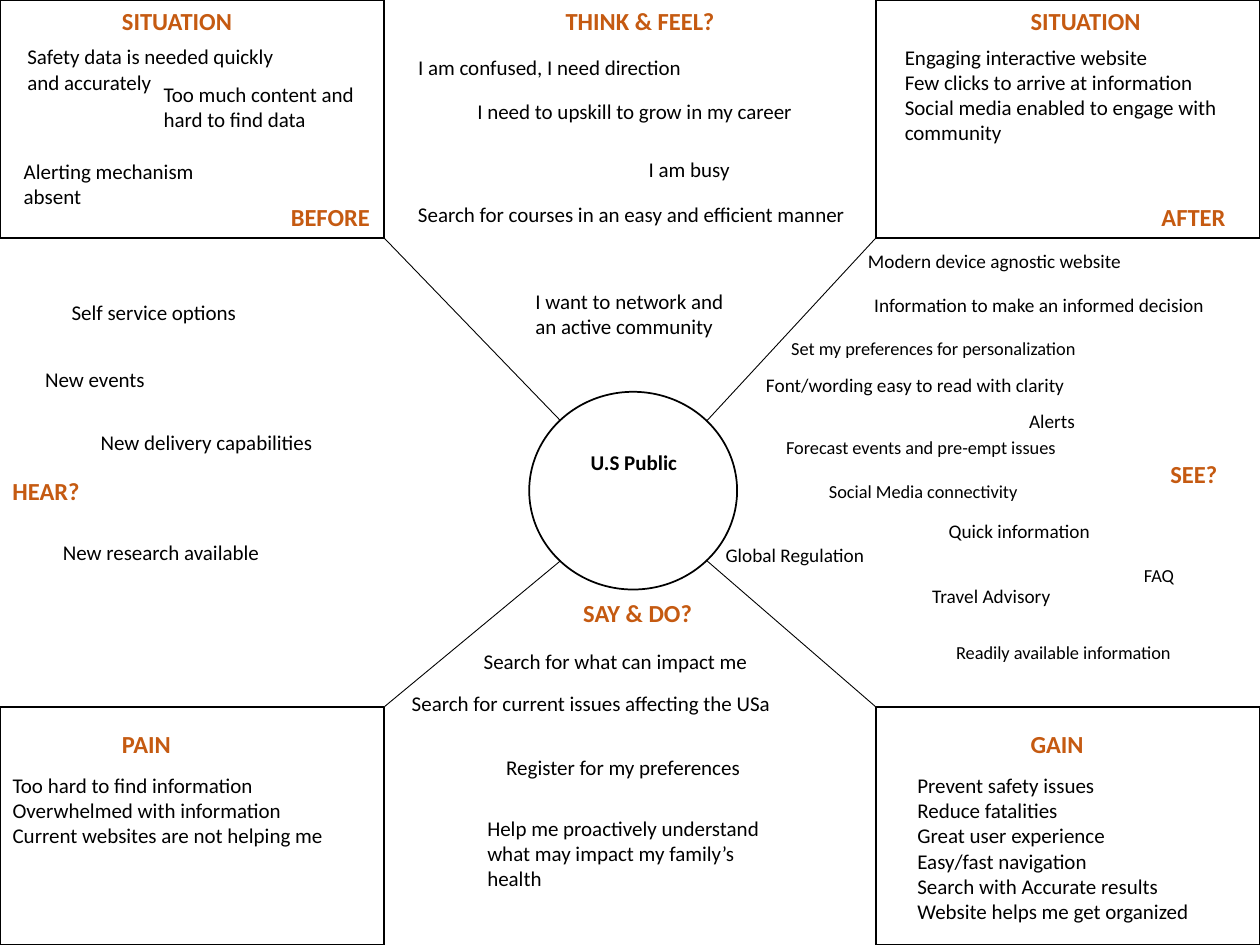
from dataclasses import dataclass

from lxml import etree
from pptx import Presentation
from pptx.dml.color import RGBColor
from pptx.enum.shapes import MSO_CONNECTOR, MSO_SHAPE
from pptx.enum.text import MSO_ANCHOR, MSO_AUTO_SIZE, PP_ALIGN
from pptx.oxml.ns import qn
from pptx.util import Pt

RECTANGLE, OVAL = MSO_SHAPE.RECTANGLE, MSO_SHAPE.OVAL
STRAIGHT = MSO_CONNECTOR.STRAIGHT
GROW, TOP = MSO_AUTO_SIZE.SHAPE_TO_FIT_TEXT, MSO_ANCHOR.TOP
LEFT, CENTER = PP_ALIGN.LEFT, PP_ALIGN.CENTER


@dataclass(frozen=True)
class Theme:
    ink: RGBColor = RGBColor(0, 0, 0)
    accent: RGBColor = RGBColor(0xC5, 0x5A, 0x11)
    font: str = "Calibri"
    heading: float = 14
    body: float = 12
    small: float = 11
    fine: float = 10.5
    outline: float = 1
    spoke: float = 0.5


@dataclass(frozen=True)
class Box:
    left: float
    top: float
    width: float
    height: float


@dataclass(frozen=True)
class Note:
    text: str
    left: float
    top: float
    width: float
    size: float = Theme.body
    lines: int = 1
    wrap: bool = False
    bold: bool = False
    color: RGBColor = Theme.ink
    align: PP_ALIGN = LEFT


THEME = Theme()
WIDTH, HEIGHT = 720, 540
CORNER_W, CORNER_H = 219.6, 136.1
RIGHT, BOTTOM = WIDTH - CORNER_W, HEIGHT - CORNER_H
MIDDLE_W = RIGHT - CORNER_W

BEFORE = Box(0, 0, CORNER_W, CORNER_H)
AFTER = Box(RIGHT, 0, CORNER_W, CORNER_H)
PAIN = Box(0, BOTTOM, CORNER_W, CORNER_H)
GAIN = Box(RIGHT, BOTTOM, CORNER_W, CORNER_H)
THINK = Box(CORNER_W, 0, MIDDLE_W, 224)
HEAR = Box(0, CORNER_H, 302.4, BOTTOM - CORNER_H)
SEE = Box(403.2, CORNER_H, 316.8, BOTTOM - CORNER_H)
SAY = Box(CORNER_W, 338.4, MIDDLE_W, 201.6)
PERSONA = Box(302.4, 223.9, 118.8, 113)


def apply(target, formats):
    for name, value in formats.items():
        setattr(target, name, value)


def heading(text, left, top, width):
    return Note(text, left, top, width, THEME.heading, bold=True, color=THEME.accent)


def write(slide, box, note, holder=None):
    shape = holder or slide.shapes.add_textbox(0, 0, 0, 0)
    apply(shape, {
        "left": Pt(box.left + note.left),
        "top": Pt(box.top + note.top),
        "width": Pt(note.width),
        "height": Pt(note.lines * note.size * 1.22 + 7.2),
    })
    frame = shape.text_frame
    frame.text = note.text
    apply(frame, {
        "word_wrap": note.wrap, "auto_size": GROW, "vertical_anchor": TOP,
        "margin_left": Pt(7.2), "margin_right": Pt(7.2),
        "margin_top": Pt(3.6), "margin_bottom": Pt(3.6),
    })
    for paragraph in frame.paragraphs:
        apply(paragraph, {"alignment": note.align, "space_before": Pt(0)})
        if holder:
            properties = paragraph._p.get_or_add_pPr()
            properties.set("marL", "0")
            properties.set("indent", "0")
            etree.SubElement(properties, qn("a:buNone"))
        for run in paragraph.runs:
            apply(run.font, {"name": THEME.font, "size": Pt(note.size), "bold": note.bold})
            run.font.color.rgb = note.color


def outline(slide, kind, box):
    shape = slide.shapes.add_shape(
        kind, Pt(box.left), Pt(box.top), Pt(box.width), Pt(box.height))
    shape.shadow.inherit = False
    shape.fill.background()
    shape.line.color.rgb = THEME.ink
    shape.line.width = Pt(THEME.outline)


def corner(slide, box, notes, listing=None, holder=None):
    outline(slide, RECTANGLE, box)
    region(slide, box, notes)
    if listing:
        write(slide, box, listing, holder)


def region(slide, box, notes):
    for note in notes:
        write(slide, box, note)


def persona(slide, box, title):
    outline(slide, OVAL, box)
    write(slide, box, Note("U.S Public", -1.4, 29.5, 122.4, wrap=True,
                           bold=True, align=CENTER), title)


def spokes(slide):
    for corner_x, ring_x in ((CORNER_W, 320.4), (RIGHT, 403.9)):
        for corner_y, ring_y in ((CORNER_H, 240.5), (BOTTOM, 320.4)):
            spoke = slide.shapes.add_connector(
                STRAIGHT, Pt(corner_x), Pt(corner_y), Pt(ring_x), Pt(ring_y))
            spoke.line.color.rgb = THEME.ink
            spoke.line.width = Pt(THEME.spoke)
            etree.SubElement(spoke._element.spPr, qn("a:effectLst"))


deck = Presentation()
apply(deck, {"slide_width": Pt(WIDTH), "slide_height": Pt(HEIGHT)})
slide = deck.slides.add_slide(deck.slide_layouts.get_by_name("Comparison"))
holders = {holder.placeholder_format.idx: holder for holder in slide.placeholders}
for idx, holder in holders.items():
    if idx not in (0, 1, 2, 4):
        holder._element.getparent().remove(holder._element)

persona(slide, PERSONA, holders[0])
spokes(slide)
corner(slide, BEFORE, [
    heading("SITUATION", 62.6, 0, 77.8),
    heading("BEFORE", 159.1, 111.6, 60.5),
    Note("Safety data is needed quickly and accurately", 8.6, 21.6, 155.5, lines=2, wrap=True),
    Note("Too much content and hard to find data", 86.4, 43.2, 129.6, lines=2, wrap=True),
    Note("Alerting mechanism absent", 6.5, 87.1, 113, lines=2, wrap=True),
])
corner(slide, AFTER, [
    heading("SITUATION", 81.4, 0, 77.8),
    heading("AFTER", 156.2, 111.6, 51.1),
], Note("Engaging interactive website\nFew clicks to arrive at information\n"
        "Social media enabled to engage with community",
        9.4, 21.6, 204.5, lines=4, wrap=True), holders[1])
corner(slide, PAIN, [heading("PAIN", 62.6, 9.4, 43.2)],
       Note("Too hard to find information\nOverwhelmed with information\n"
            "Current websites are not helping me",
            0, 33.9, CORNER_W, lines=3, wrap=True), holders[2])
corner(slide, GAIN, [heading("GAIN", 81.4, 9.4, 45.4)],
       Note("Prevent safety issues\nReduce fatalities\nGreat user experience\n"
            "Easy/fast navigation\nSearch with Accurate results\n"
            "Website helps me get organized",
            16.6, 33.9, 177.8, lines=6, wrap=True), holders[4])
region(slide, THINK, [
    heading("THINK & FEEL?", 96.5, 0, 100.1),
    Note("I am confused, I need direction", 12.2, 27.4, 166.3),
    Note("I need to upskill to grow in my career", 46.1, 52.6, 196.6),
    Note("I am busy", 144, 85.7, 61.2),
    Note("Search for courses in an easy and efficient manner", 12.2, 111.6, 264.2, wrap=True),
    Note("I want to network and an active community", 79.2, 161.3, 128.9, lines=2, wrap=True),
])
region(slide, HEAR, [
    heading("HEAR?", 0, 132.5, 53.3),
    Note("Self service options", 33.8, 31.7, 109.4),
    Note("New events", 18.7, 69.8, 127.4, wrap=True),
    Note("New delivery capabilities", 50.4, 105.8, 153.4, wrap=True),
    Note("New research available", 28.8, 168.5, 153.4, wrap=True),
])
region(slide, SEE, [
    heading("SEE?", 258.5, 122.4, 41.8),
    Note("Modern device agnostic website", 85.7, 2.9, 159.8, THEME.small),
    Note("Information to make an informed decision", 89.3, 28.1, 204.5, THEME.small),
    Note("Set my preferences for personalization", 41.8, 53.3, 181.4, THEME.fine),
    Note("Font/wording easy to read with clarity", 27.4, 73.4, 245.5, THEME.small, wrap=True),
    Note("Alerts", 177.8, 94.3, 41, THEME.small),
    Note("Forecast events and pre-empt issues", 38.9, 109.4, 172.1, THEME.fine),
    Note("Social Media connectivity", 63.4, 134.6, 123.8, THEME.fine),
    Note("Quick information", 131.8, 156.9, 185, THEME.small, wrap=True),
    Note("Global Regulation", 4.3, 170.6, 94.3, THEME.small),
    Note("FAQ", 243.4, 182.9, 48.2, THEME.fine, wrap=True),
    Note("Travel Advisory", 122.4, 194.4, 90, THEME.small, wrap=True),
    Note("Readily available information", 136.1, 226.8, 137, THEME.fine),
])
region(slide, SAY, [
    heading("SAY & DO?", 106.6, 0, 77),
    Note("Search for what can impact me", 49.7, 28.8, 167),
    Note("Search for current issues affecting the USa", 8.6, 52.6, 221.8),
    Note("Register for my preferences", 62.6, 89.3, 149.8),
    Note("Help me proactively understand what may impact my family’s health",
         51.8, 123.8, 177.1, lines=3, wrap=True),
])
deck.save("out.pptx")
